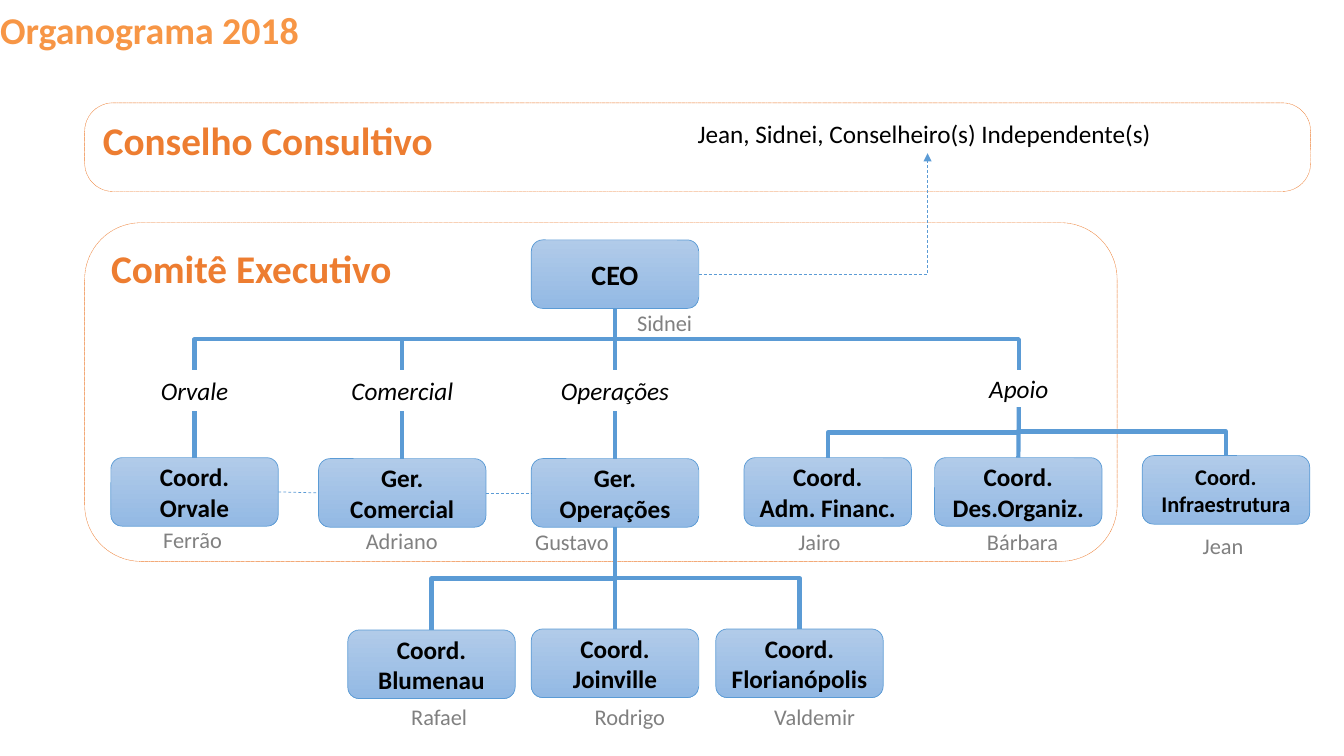
from pptx import Presentation
from pptx import util as u
from pptx.dml.color import RGBColor
from pptx.enum import dml, shapes, text
from pptx.oxml import ns, xmlchemy

BLUE, ORANGE, GREY, BLACK = "5B9BD5", "ED7D31", "808080", "000000"
BOX_WIDTH, BOX_HEIGHT = 1.66, 0.68
TOP, LEFT, BOTTOM, RIGHT = range(4)


def colour(hex_value):
    return RGBColor.from_string(hex_value)


def inches(*lengths):
    return [u.Inches(length) for length in lengths]


def write(shape, words, size, hex_value, align, bold=False, italic=False):
    frame = shape.text_frame
    frame.text = words
    for para in frame.paragraphs:
        para.alignment = align
        for span in para.runs:
            font = span.font
            font.name, font.size = "Calibri", u.Pt(size)
            font.bold, font.italic = bold, italic
            font.color.rgb = colour(hex_value)


def add_round(page, *place):
    """Rounded rectangle with neither fill, line nor shadow."""
    shape = page.shapes.add_shape(
        shapes.MSO_SHAPE.ROUNDED_RECTANGLE, *inches(*place))
    shape.shadow.inherit = False
    shape.fill.background()
    shape.line.fill.background()
    return shape


def add_frame(page, words, *place):
    frame = add_round(page, *place)
    frame.line.color.rgb = colour(ORANGE)
    frame.line.width = u.Pt(0.25)
    frame.line.dash_style = dml.MSO_LINE.SQUARE_DOT
    frame.text_frame.vertical_anchor = text.MSO_ANCHOR.TOP
    write(frame, words, 28, ORANGE, text.PP_ALIGN.LEFT, bold=True)
    return frame


def add_area(page, words, left, width, height=0.41):
    area = add_round(page, left, 3.67, width, height)
    area.text_frame.vertical_anchor = text.MSO_ANCHOR.MIDDLE
    write(area, words, 18, BLACK, text.PP_ALIGN.CENTER, italic=True)
    return area


def add_post(page, words, left, top, size=18):
    post = add_round(page, left, top, BOX_WIDTH, BOX_HEIGHT)
    post.fill.gradient()
    post.fill.gradient_angle = 270
    for stop, hex_value in zip(post.fill.gradient_stops, ("B1CBE9", "93B9E4")):
        stop.color.rgb = colour(hex_value)
    post.line.color.rgb = colour(BLUE)
    post.line.width = u.Pt(0.5)
    post.text_frame.vertical_anchor = text.MSO_ANCHOR.MIDDLE
    write(post, words, size, BLACK, text.PP_ALIGN.CENTER, bold=True)
    return post


def add_label(page, words, left, top, width, height=0.37, size=16, hex_value=GREY):
    label = page.shapes.add_textbox(*inches(left, top, width, height))
    label.text_frame.word_wrap = False
    write(label, words, size, hex_value, text.PP_ALIGN.LEFT)
    return label


def join(page, kind, start, start_side, end, end_side, width, dashed=False):
    link = page.shapes.add_connector(kind, 0, 0, 0, 0)
    link.begin_connect(start, start_side)
    link.end_connect(end, end_side)
    link.line.color.rgb = colour(BLUE)
    link.line.width = u.Pt(width)
    if dashed:
        link.line.dash_style = dml.MSO_LINE.DASH
    link.element.spPr.append(xmlchemy.OxmlElement("a:effectLst"))
    return link


def add_branch(page, parent, child):
    """Line from the foot of parent to the head of child, level at mid-height."""
    start_x = parent.left + parent.width // 2
    start_y = parent.top + parent.height
    across = child.left + child.width // 2 - start_x
    down = child.top - start_y
    straight = abs(across) < u.Inches(0.02)
    kind = shapes.MSO_CONNECTOR.STRAIGHT if straight else shapes.MSO_CONNECTOR.ELBOW
    link = join(page, kind, parent, BOTTOM, child, TOP, 3)
    if straight:
        return
    # The elbow leaves sideways, so it is turned to leave downwards.
    link.left = start_x + (across - down) // 2
    link.top = start_y + (down - abs(across)) // 2
    link.width, link.height = down, abs(across)
    xfrm = link.element.spPr.find(ns.qn("a:xfrm"))
    xfrm.set("rot", str((90 if across < 0 else 270) * 60000))
    xfrm.set("flipH", "0" if across < 0 else "1")
    xfrm.set("flipV", "0")


def add_council_link(page, ceo, members):
    link = join(page, shapes.MSO_CONNECTOR.ELBOW, ceo, RIGHT, members, BOTTOM, 0.5, True)
    properties = link.element.spPr
    properties.find(ns.qn("a:prstGeom")).set("prst", "bentConnector2")
    arrow = xmlchemy.OxmlElement("a:tailEnd")
    arrow.set("type", "triangle")
    properties.find(ns.qn("a:ln")).append(arrow)


def set_title(page, words):
    title = page.shapes.title
    title.left, title.top, title.width, title.height = inches(0, 0.08, 5.41, 0.44)
    frame = title.text_frame
    frame.margin_left = frame.margin_top = frame.margin_right = frame.margin_bottom = 0
    frame.vertical_anchor = text.MSO_ANCHOR.BOTTOM
    frame.auto_size = text.MSO_AUTO_SIZE.NONE
    write(title, words, 27, "F79646", text.PP_ALIGN.LEFT, bold=True)


def main():
    deck = Presentation()
    deck.slide_width, deck.slide_height = inches(13.33, 7.5)
    page = deck.slides.add_slide(deck.slide_layouts[5])
    set_title(page, "Organograma 2018")

    add_frame(page, "Comitê Executivo", 0.84, 2.21, 10.24, 3.36)
    council = add_frame(page, "Conselho Consultivo", 0.84, 1.02, 12.16, 0.88)
    council.adjustments[0] = 0.32
    members = add_label(page, "Jean, Sidnei, Conselheiro(s) Independente(s)",
                        6.82, 1.12, 4.76, 0.4, 18, BLACK)

    ceo = add_post(page, "CEO", 5.27, 2.38, 20)
    systems_area = add_area(page, "Orvale", 0.89, 2.08)
    sales_area = add_area(page, "Comercial", 2.87, 2.24)
    operations_area = add_area(page, "Operações", 4.98, 2.24)
    support_area = add_area(page, "Apoio", 9.52, 1.17, 0.37)

    systems = add_post(page, "Coord.\nOrvale", 1.1, 4.54)
    sales = add_post(page, "Ger. Comercial", 3.16, 4.55)
    operations = add_post(page, "Ger.\nOperações", 5.27, 4.55)
    support = [add_post(page, "Coord.\nAdm. Financ.", 7.38, 4.54),
               add_post(page, "Coord.\nDes.Organiz.", 9.27, 4.54),
               add_post(page, "Coord.\nInfraestrutura", 11.33, 4.52, 16)]
    branches = [add_post(page, "Coord. Blumenau", 3.45, 6.25),
                add_post(page, "Coord. Joinville", 5.27, 6.24),
                add_post(page, "Coord. Florianópolis", 7.1, 6.24)]

    for parent, children in (
            (ceo, [systems_area, sales_area, operations_area, support_area]),
            (systems_area, [systems]),
            (sales_area, [sales]),
            (operations_area, [operations]),
            (support_area, support),
            (operations, branches)):
        for child in children:
            add_branch(page, parent, child)
    for start, end in ((systems, sales), (sales, operations)):
        join(page, shapes.MSO_CONNECTOR.STRAIGHT, start, RIGHT, end, LEFT, 0.5, True)
    add_council_link(page, ceo, members)

    for name, left, top, width in (
            ("Sidnei", 6.22, 3.02, 0.75), ("Ferrão", 1.52, 5.17, 0.79),
            ("Adriano", 3.53, 5.18, 0.92), ("Gustavo", 5.21, 5.19, 0.94),
            ("Jairo", 7.82, 5.19, 0.63), ("Bárbara", 9.69, 5.19, 0.92),
            ("Jean", 11.83, 5.23, 0.61), ("Rafael", 3.98, 6.93, 0.76),
            ("Rodrigo", 5.8, 6.93, 0.91), ("Valdemir", 7.58, 6.93, 1.01)):
        add_label(page, name, left, top, width)

    deck.save("out.pptx")


if __name__ == "__main__":
    main()
